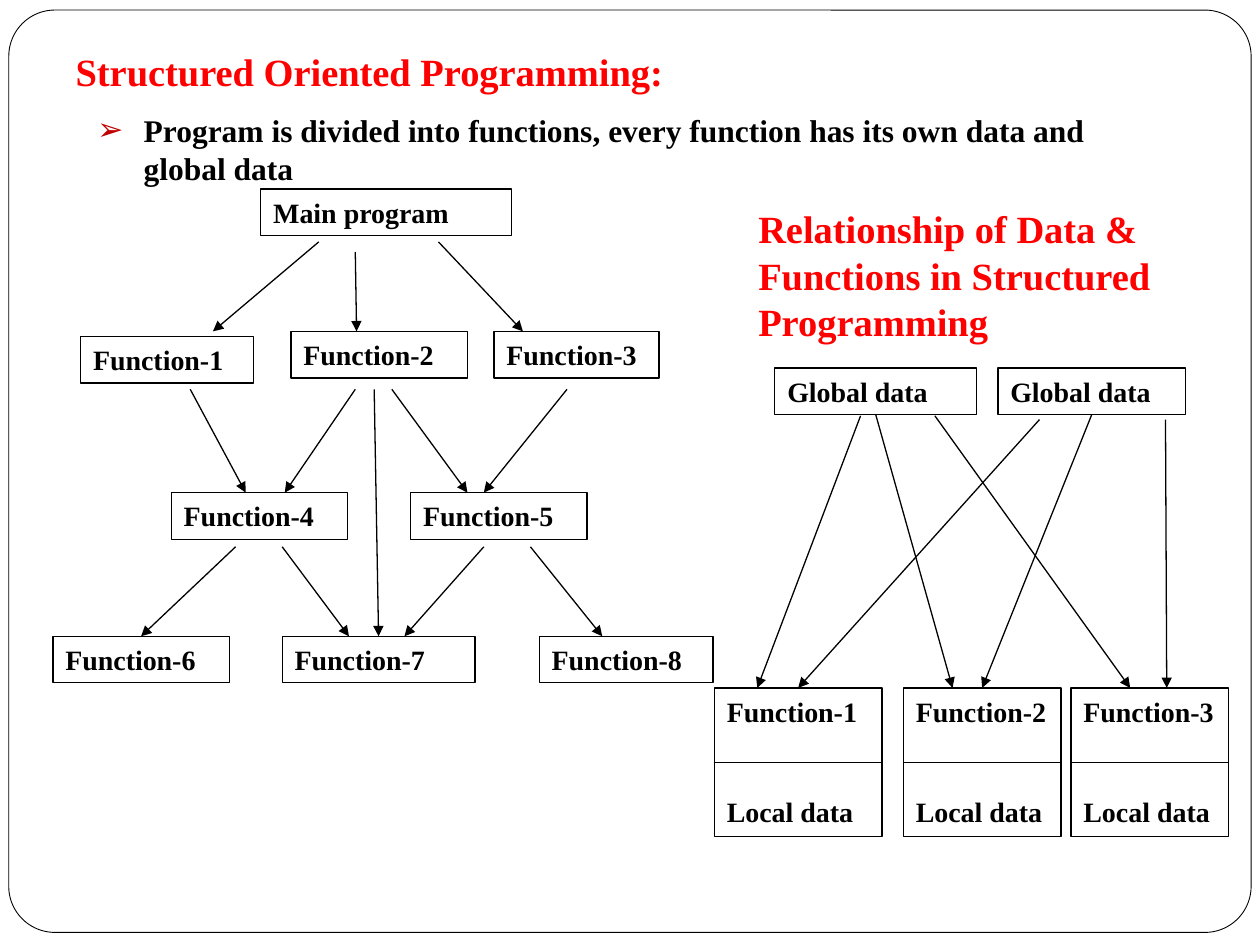
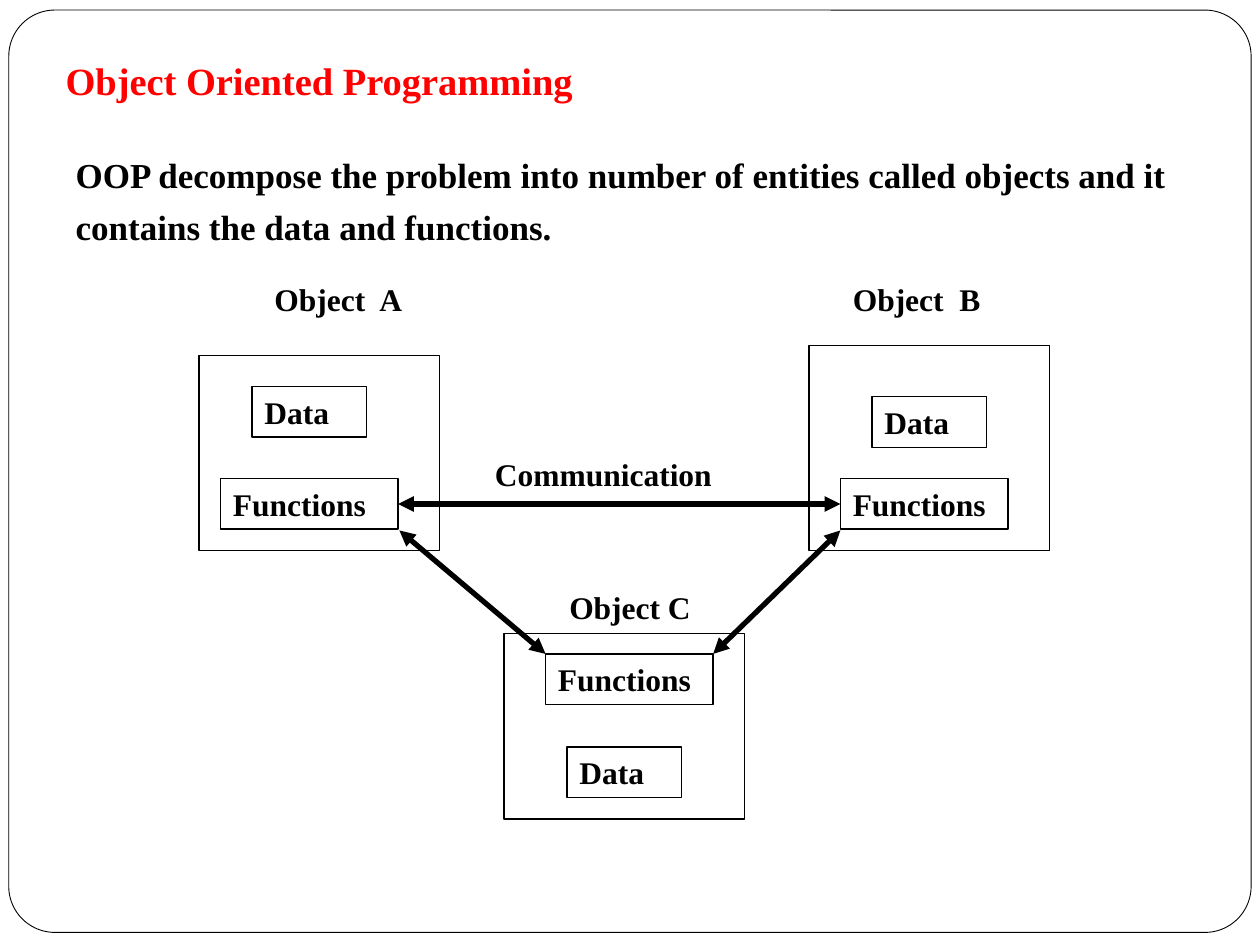
from math import hypot

from lxml.etree import SubElement
from pptx import Presentation
from pptx.dml.color import RGBColor
from pptx.enum.shapes import MSO_CONNECTOR, MSO_SHAPE
from pptx.enum.text import MSO_ANCHOR, MSO_AUTO_SIZE, PP_ALIGN
from pptx.oxml.ns import qn
from pptx.util import Inches, Pt

WIDTH, HEIGHT = 10, 7.5
FONT = "Times New Roman"
COLORS = {"title": "FF0000", "text": "000000", "line": "000000",
          "bullet": "C00000", "panel": "FFFFFF"}
JOIN_DISTANCE = 0.06  # arrows this near a side's middle are joined to it

# ---- Slide 1: call tree and data access ----
STRUCTURED_TITLE = "Structured Oriented Programming:"
STRUCTURED_POINT = ("Program is divided into functions, every function has its "
                    "own data and global data")
RELATIONSHIP_HEADING = ["Relationship of Data &", "Functions in Structured", "Programming"]
BOX_HEIGHT = 0.37
CALL_ROWS = [  # top, [(label, left, width)]
    (1.5, [("Main program", 2.07, 1.99)]),
    (2.67, [("Function-1", 0.64, 1.37)]),
    (2.63, [("Function-2", 2.31, 1.4), ("Function-3", 3.92, 1.31)]),
    (3.91, [("Function-4", 1.36, 1.4), ("Function-5", 3.26, 1.4)]),
    (5.05, [("Function-6", 0.42, 1.4), ("Function-7", 2.24, 1.53), ("Function-8", 4.28, 1.38)]),
    (2.92, [("Global data", 6.15, 1.6), ("Global data", 7.92, 1.49)]),
]
LOCAL_TOP, LOCAL_HEIGHT = 5.46, 1.18
LOCAL_BOXES = [("Function-1", 5.67, 1.33), ("Function-2", 7.17, 1.25), ("Function-3", 8.5, 1.25)]
ARROW_ROWS = [  # start height, end height, [(start x, end x)]
    (1.92, 2.63, [(2.53, 1.69), (3.48, 4.15)]),
    (2, 2.63, [(2.82, 2.83)]),
    (3.09, 3.91, [(1.51, 1.95), (2.82, 2.26), (3.11, 3.71), (4.5, 3.84)]),
    (3.09, 5.05, [(2.97, 3.02)]),
    (4.34, 5.05, [(1.87, 1.13), (2.24, 2.77), (4.21, 4.78), (3.84, 3.21)]),
    (3.3, LOCAL_TOP, [(6.83, 6.01), (7, 7.56), (7.42, 8.97)]),
    (3.33, LOCAL_TOP, [(8.67, 7.8), (9.25, 9.26), (8.25, 6.39)]),
]

# ---- Slide 2: communicating objects ----
OBJECT_TITLE = "Object Oriented Programming"
OBJECT_LINES = ["OOP decompose the problem into number of entities called objects and it",
                "contains the data and functions."]
PART_HEIGHT = 0.4
OBJECTS = [  # name and its place, panel, then the places of the two parts
    {"name": "Object  A", "label": (2.08, 2.17, 1.25), "panel": (1.58, 2.82, 1.91, 1.55),
     "Data": (2, 3.07, 0.91), "Functions": (1.75, 3.8, 1.41)},
    {"name": "Object  B", "label": (6.67, 2.17, 1.25), "panel": (6.42, 2.74, 1.91, 1.63),
     "Data": (6.92, 3.15, 0.91), "Functions": (6.67, 3.8, 1.33)},
    {"name": "Object C", "label": (4.42, 4.62, 1.33), "panel": (4, 5.03, 1.91, 1.47),
     "Data": (4.5, 5.93, 0.91), "Functions": (4.33, 5.19, 1.33)},
]
COMMUNICATION = ("Communication", (3.83, 3.56, 2.08))
LINKS = [((3.17, 3.97), (6.66, 3.97)), ((3.17, 4.21), (4.33, 5.19)),
         ((6.67, 4.21), (5.66, 5.19))]


def color(name):
    return RGBColor.from_string(COLORS[name])


def apply(target, values):
    for name, value in values.items():
        setattr(target, name, value)


def place(shape, box):
    apply(shape, dict(zip(("left", "top", "width", "height"), map(Inches, box))))


def write(shape, lines, size, ink="text", space=0, anchor=MSO_ANCHOR.TOP, bottom=0.05):
    """Fill a shape with one bold paragraph per line."""
    frame = shape.text_frame
    apply(frame, {"word_wrap": True, "auto_size": MSO_AUTO_SIZE.NONE,
                  "vertical_anchor": anchor,
                  "margin_left": Inches(0.1), "margin_right": Inches(0.1),
                  "margin_top": Inches(0.05), "margin_bottom": Inches(bottom)})
    frame.text = "\n".join(lines)
    for paragraph in frame.paragraphs:
        apply(paragraph, {"alignment": PP_ALIGN.LEFT, "space_before": Pt(space)})
        apply(paragraph.runs[0].font, {"name": FONT, "size": Pt(size), "bold": True})
        paragraph.runs[0].font.color.rgb = color(ink)


def write_heading(shape, lines):
    write(shape, lines, 22, "title", anchor=MSO_ANCHOR.BOTTOM, bottom=0.1)


def set_bullet(paragraph, character=None, indent=0):
    properties = paragraph._p.get_or_add_pPr()
    properties.set("marL", str(Inches(indent)))
    properties.set("indent", str(-Inches(indent)))
    if character is None:
        SubElement(properties, qn("a:buNone"))
        return
    bullet_color = SubElement(properties, qn("a:buClr"))
    SubElement(bullet_color, qn("a:srgbClr"), val=COLORS["bullet"])
    SubElement(properties, qn("a:buFont"), typeface="Arial")
    SubElement(properties, qn("a:buChar"), char=character)


def add_outline(slide, box, preset=MSO_SHAPE.RECTANGLE, weight=0.75, fill=None):
    shape = slide.shapes.add_shape(preset, *map(Inches, box))
    shape.shadow.inherit = False
    shape.line.color.rgb = color("line")
    shape.line.width = Pt(weight)
    if fill:
        shape.fill.solid()
        shape.fill.fore_color.rgb = color(fill)
    else:
        shape.fill.background()
    return shape


def add_box(slide, box, lines, size, space=0):
    shape = add_outline(slide, box)
    write(shape, lines, size, space=space)
    return shape


def add_text(slide, box, text, size):
    shape = slide.shapes.add_textbox(*map(Inches, box))
    write(shape, [text], size)


def side_near(point, boxes):
    """Find the box and side whose middle lies at the point."""
    for box in boxes:
        left, top, width, height = (
            length / Inches(1) for length in (box.left, box.top, box.width, box.height))
        middles = [(left + width / 2, top), (left, top + height / 2),
                   (left + width / 2, top + height), (left + width, top + height / 2)]
        for side, (x, y) in enumerate(middles):
            if hypot(point[0] - x, point[1] - y) < JOIN_DISTANCE:
                return box, side
    return None


def add_line(slide, start, end, boxes, weight=0.75, heads=()):
    line = slide.shapes.add_connector(MSO_CONNECTOR.STRAIGHT, *map(Inches, start + end))
    line.line.color.rgb = color("line")
    line.line.width = Pt(weight)
    for head in heads:
        SubElement(line.line._get_or_add_ln(), qn(f"a:{head}"), type="triangle")
    SubElement(line._element.spPr, qn("a:effectLst"))
    for point, join in ((start, line.begin_connect), (end, line.end_connect)):
        target = side_near(point, boxes)
        if target:
            join(*target)


def new_slide(presentation, title, title_box, lines, body_box, size, space=0):
    """Start a slide with the shared frame, title and body."""
    slide = presentation.slides.add_slide(presentation.slide_layouts[1])
    frame = add_outline(slide, (0.07, 0.08, WIDTH - 0.14, HEIGHT - 0.18),
                        MSO_SHAPE.ROUNDED_RECTANGLE, 0.5)
    frame.adjustments[0] = 0.05
    heading, body = slide.placeholders
    place(heading, title_box)
    write_heading(heading, [title])
    place(body, body_box)
    write(body, lines, size, space=space)
    return slide, body


def build_structured(presentation):
    slide, body = new_slide(presentation, STRUCTURED_TITLE, (0.5, 0.25, 8.5, 0.6),
                            [STRUCTURED_POINT], (0.67, 0.83, 8.5, 0.7), 18)
    set_bullet(body.text_frame.paragraphs[0], "➢", 0.37)

    # Boxes of the call tree and the global data
    boxes = [add_box(slide, (left, top, width, BOX_HEIGHT), [label], 16)
             for top, row in CALL_ROWS for label, left, width in row]

    # Functions with their local data, split by a divider
    for label, left, width in LOCAL_BOXES:
        box = add_box(slide, (left, LOCAL_TOP, width, LOCAL_HEIGHT), [label, "Local data"], 16)
        box.text_frame.paragraphs[1].space_before = Pt(38.4)
        boxes.append(box)
        middle = LOCAL_TOP + LOCAL_HEIGHT / 2
        add_line(slide, (left, middle), (left + width, middle), boxes)

    # Arrows
    for start_y, end_y, arrows in ARROW_ROWS:
        for start_x, end_x in arrows:
            add_line(slide, (start_x, start_y), (end_x, end_y), boxes, heads=["tailEnd"])

    heading = slide.shapes.add_textbox(*map(Inches, (5.92, 1.58, 3.67, 1.25)))
    write_heading(heading, RELATIONSHIP_HEADING)


def build_objects(presentation):
    slide, body = new_slide(presentation, OBJECT_TITLE, (0.42, 0.42, 8.5, 0.5),
                            OBJECT_LINES, (0.5, 1.17, 9, 0.92), 20, space=5.8)
    for paragraph in body.text_frame.paragraphs:
        set_bullet(paragraph)

    # Objects with their parts
    boxes = []
    for item in OBJECTS:
        add_text(slide, (*item["label"], PART_HEIGHT), item["name"], 18)
        add_outline(slide, item["panel"], fill="panel")
        for part in ("Data", "Functions"):
            boxes.append(add_box(slide, (*item[part], PART_HEIGHT), [part], 18))

    # Links between the objects
    for start, end in LINKS:
        add_line(slide, start, end, boxes, 3, ["headEnd", "tailEnd"])
    text, box = COMMUNICATION
    add_text(slide, (*box, PART_HEIGHT), text, 18)


def main():
    presentation = Presentation()
    presentation.slide_width = Inches(WIDTH)
    presentation.slide_height = Inches(HEIGHT)
    build_structured(presentation)
    build_objects(presentation)
    presentation.save("out.pptx")


if __name__ == "__main__":
    main()
